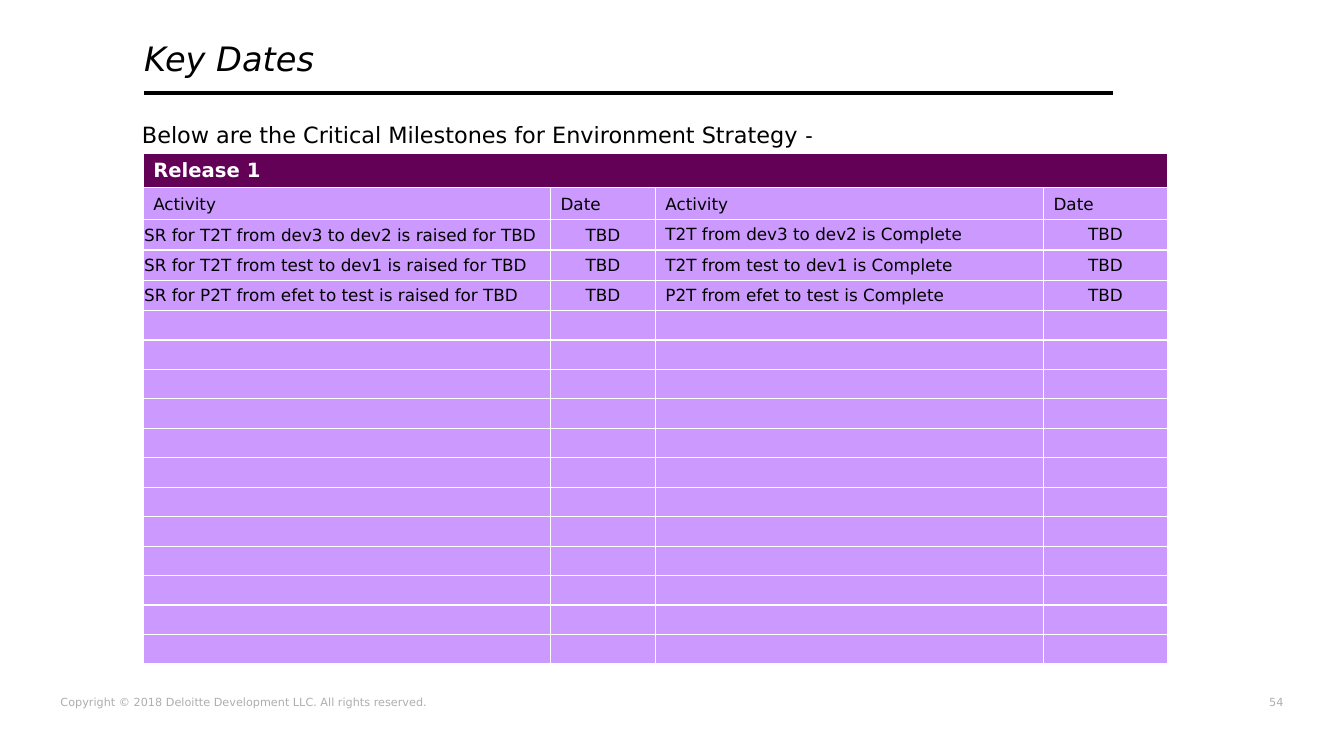
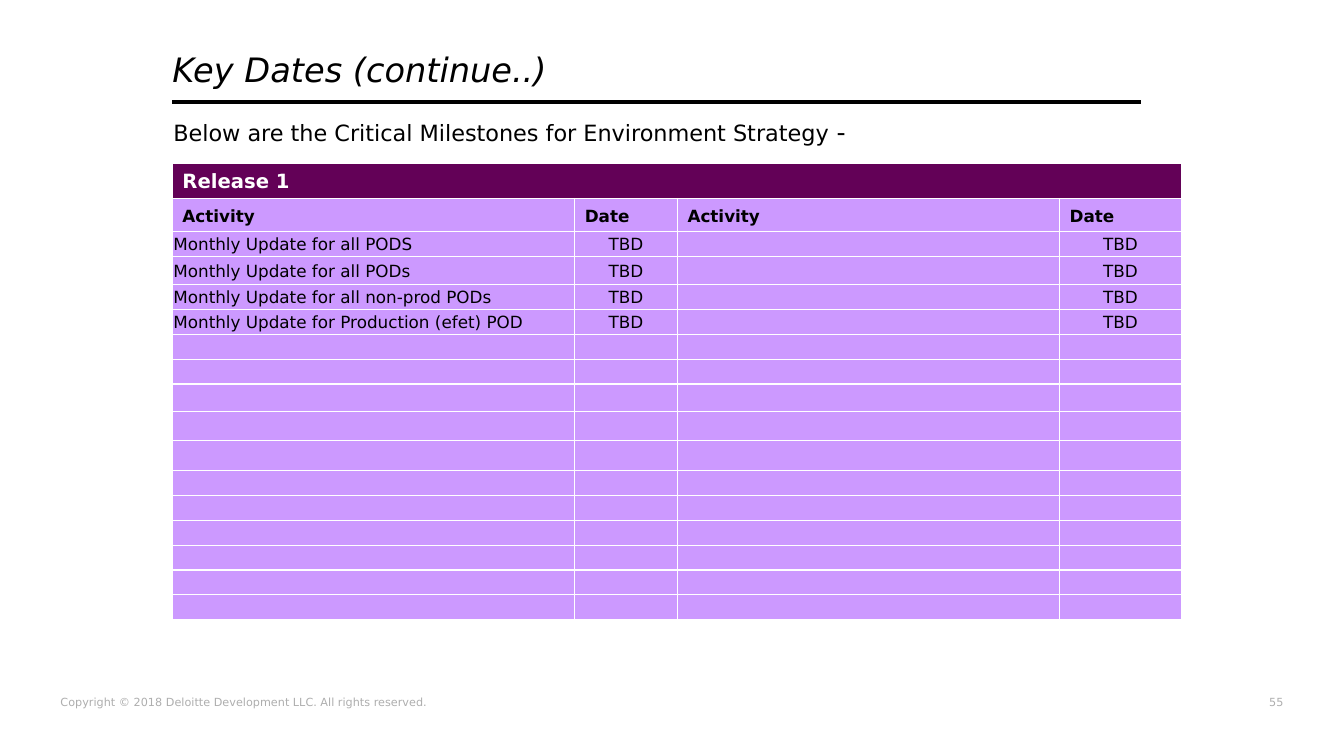
from dataclasses import dataclass

from lxml.etree import SubElement
from pptx import Presentation
from pptx.dml.color import RGBColor
from pptx.enum.shapes import MSO_CONNECTOR
from pptx.enum.text import MSO_ANCHOR as Anchor, MSO_AUTO_SIZE as AutoSize, PP_ALIGN as Align
from pptx.oxml.ns import qn
from pptx.util import Inches, Pt


@dataclass(frozen=True)
class Theme:
    font: str = "DejaVu Sans"
    alt_font: str = "Arial"
    black: str = "000000"
    white: str = "FFFFFF"
    grey: str = "AEAEAE"
    band: str = "630157"
    cell: str = "CC99FF"
    title: int = 24
    lead: int = 16
    release: int = 14
    body: int = 12
    footer: int = 8
    rule: float = 2.75
    border: int = 1


T = Theme()
COPYRIGHT = "Copyright © 2018 Deloitte Development LLC. All rights reserved."
LEAD = "Below are the Critical Milestones for Environment Strategy "
HEADINGS = ["Activity", "Date", "Activity", "Date"]
ROW_COUNT = 17
DATE_COLUMNS = (1, 3)


def write(p, text, size=T.body, color=T.black, font=T.font, bold=False, italic=False, align=None):
    r = p.add_run()
    r.text = text
    r.font.size = Pt(size)
    r.font.name = font
    r.font.bold = bold
    r.font.italic = italic
    r.font.color.rgb = RGBColor.from_string(color)
    if align is not None:
        p.alignment = align


def clear_margins(frame, margin=0):
    frame.margin_left = frame.margin_right = frame.margin_top = Inches(margin)
    frame.margin_bottom = 0


def add_text_box(s, left, top, width, height):
    tf = s.shapes.add_textbox(Inches(left), Inches(top), Inches(width), Inches(height)).text_frame
    tf.word_wrap = True
    return tf


def add_footer(s, number):
    for left, width, text, align in ((0.6, 5, COPYRIGHT, Align.LEFT),
                                     (12.23, 0.5, str(number), Align.RIGHT)):
        tf = add_text_box(s, left, 6.9, width, 0.13)
        clear_margins(tf)
        write(tf.paragraphs[0], text, size=T.footer, color=T.grey, align=align)


def add_title(s, text, left, top, rule_y):
    """Title with the heavy rule below it."""
    sp = s.shapes.title
    sp.left, sp.top, sp.width, sp.height = Inches(left), Inches(top), Inches(8.18), Inches(0.51)
    tf = sp.text_frame
    tf.auto_size = AutoSize.NONE
    tf.vertical_anchor = Anchor.BOTTOM
    clear_margins(tf)
    write(tf.paragraphs[0], text, size=T.title, italic=True, align=Align.LEFT)

    rule = s.shapes.add_connector(MSO_CONNECTOR.STRAIGHT, Inches(left), Inches(rule_y),
                                  Inches(left + 9.61), Inches(rule_y))
    rule.line.color.rgb = RGBColor.from_string(T.black)
    rule.line.width = Pt(T.rule)
    SubElement(rule._element.spPr, qn("a:effectLst"))


def add_lead(s, left, top, dash):
    p = add_text_box(s, left, top, 9.59, 0.37).paragraphs[0]
    write(p, LEAD, size=T.lead)
    write(p, "-", **dash)


def style_cell(cell, fill):
    """Borders go in before the fill, as the schema orders them."""
    tcPr = cell._tc.get_or_add_tcPr()
    for side in "LRTB":
        ln = SubElement(tcPr, qn(f"a:ln{side}"), w=str(Pt(T.border)))
        SubElement(SubElement(ln, qn("a:solidFill")), qn("a:srgbClr"), val=T.white)
    cell.fill.solid()
    cell.fill.fore_color.rgb = RGBColor.from_string(fill)


def fill_cell(cell, text, tight=False, **fmt):
    p = cell.text_frame.paragraphs[0]
    cell.vertical_anchor = Anchor.MIDDLE if tight else Anchor.BOTTOM
    if tight or not text:
        clear_margins(cell, 0.01)
    if text:
        write(p, text, **fmt)
    else:
        SubElement(p._p, qn("a:endParaRPr"), sz=str(T.body * 100))


def add_milestones(s, at, widths, special_heights, entries, tight_columns, bold_headings):
    """Rows without a special height share what is left of the table's height."""
    left, top, width, height = at
    tbl = s.shapes.add_table(ROW_COUNT, len(widths), Inches(left), Inches(top),
                             Inches(width), Inches(height)).table
    tbl.first_row = tbl.horz_banding = False
    for column, w in zip(tbl.columns, widths):
        column.width = Inches(w)
    shared = (height - sum(special_heights.values())) / (ROW_COUNT - len(special_heights))
    for i, row in enumerate(tbl.rows):
        row.height = Inches(special_heights.get(i, shared))
        for cell in row.cells:
            style_cell(cell, T.cell if i else T.band)

    tbl.cell(0, 0).merge(tbl.cell(0, len(widths) - 1))
    fill_cell(tbl.cell(0, 0), "Release 1", size=T.release, color=T.white, bold=True)
    for j, heading in enumerate(HEADINGS):
        fill_cell(tbl.cell(1, j), heading, bold=bold_headings)
    blanks = [[""] * len(widths)] * (ROW_COUNT - 2 - len(entries))
    for i, entry in enumerate(entries + blanks, start=2):
        for j, text in enumerate(entry):
            fill_cell(tbl.cell(i, j), text, tight=j in tight_columns,
                      align=Align.CENTER if j in DATE_COLUMNS else Align.LEFT)


def add_slide(prs, number, title, lead, milestones):
    s = prs.slides.add_slide(prs.slide_layouts[5])
    add_footer(s, number)
    add_title(s, **title)
    add_lead(s, **lead)
    add_milestones(s, **milestones)


def main():
    prs = Presentation()
    prs.slide_width, prs.slide_height = Inches(13.33), Inches(7.5)

    moves = [("T2T", "dev3 to dev2"), ("T2T", "test to dev1"), ("P2T", "efet to test")]
    add_slide(
        prs, 54,
        title=dict(text="Key Dates", left=1.43, top=0.27, rule_y=0.92),
        lead=dict(left=1.31, top=1.15, dash=dict(size=T.lead, font=T.alt_font)),
        milestones=dict(
            at=(1.42, 1.52, 10.16, 5.07),
            widths=[4.04, 1.04, 3.85, 1.23],
            special_heights={0: 0.34, 1: 0.32, 2: 0.3, 3: 0.3, 4: 0.3},
            entries=[[f"SR for {kind} from {route} is raised for TBD", "TBD",
                      f"{kind} from {route} is Complete", "TBD"] for kind, route in moves],
            tight_columns=(0, 1),
            bold_headings=False))

    targets = ["all PODS", "all PODs", "all non-prod PODs", "Production (efet) POD"]
    add_slide(
        prs, 55,
        title=dict(text="Key Dates (continue..)", left=1.71, top=0.38, rule_y=1.01),
        lead=dict(left=1.62, top=1.1, dash=dict(size=18)),
        milestones=dict(
            at=(1.71, 1.62, 10.01, 4.53),
            widths=[3.99, 1.02, 3.79, 1.21],
            special_heights={0: 0.35, 1: 0.33, 3: 0.28, 8: 0.27, 9: 0.29, 10: 0.3},
            entries=[[f"Monthly Update for {target}", "TBD", "", "TBD"] for target in targets],
            tight_columns=(0, 1, 2, 3),
            bold_headings=True))

    prs.save("out.pptx")


if __name__ == "__main__":
    main()
